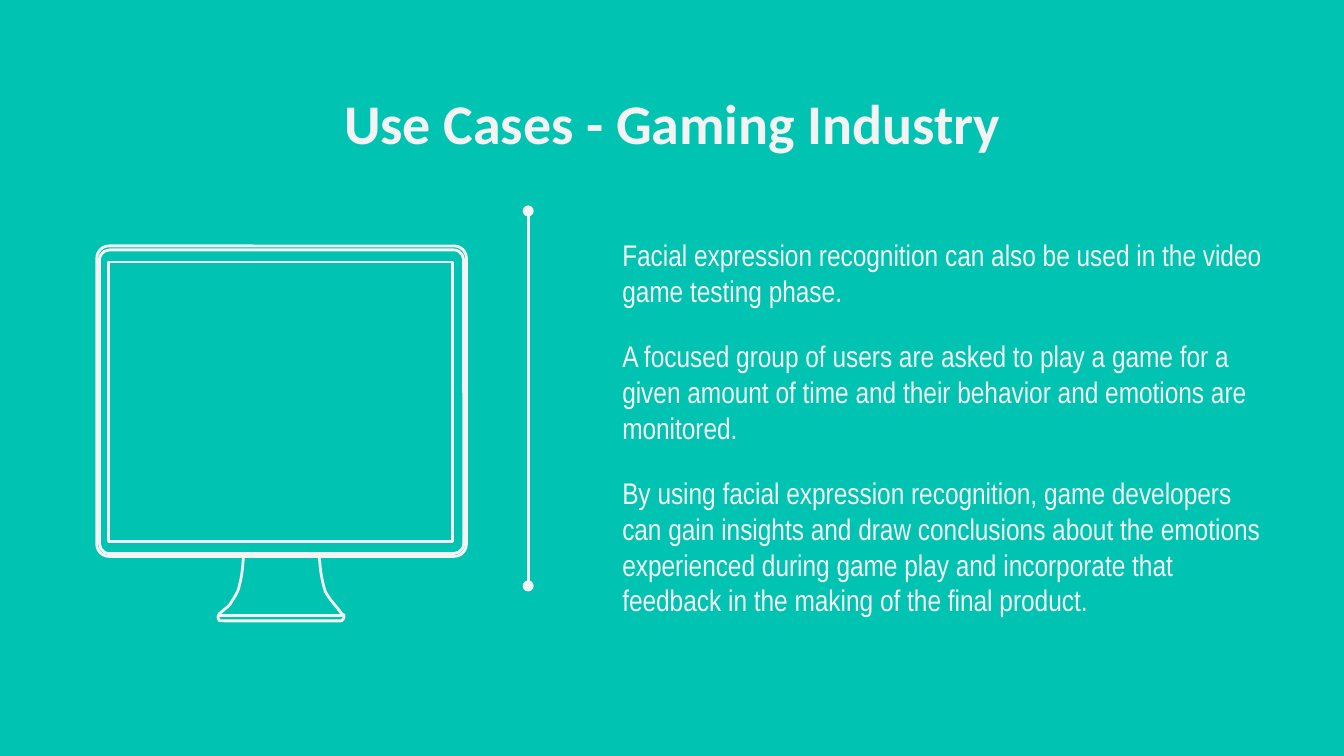
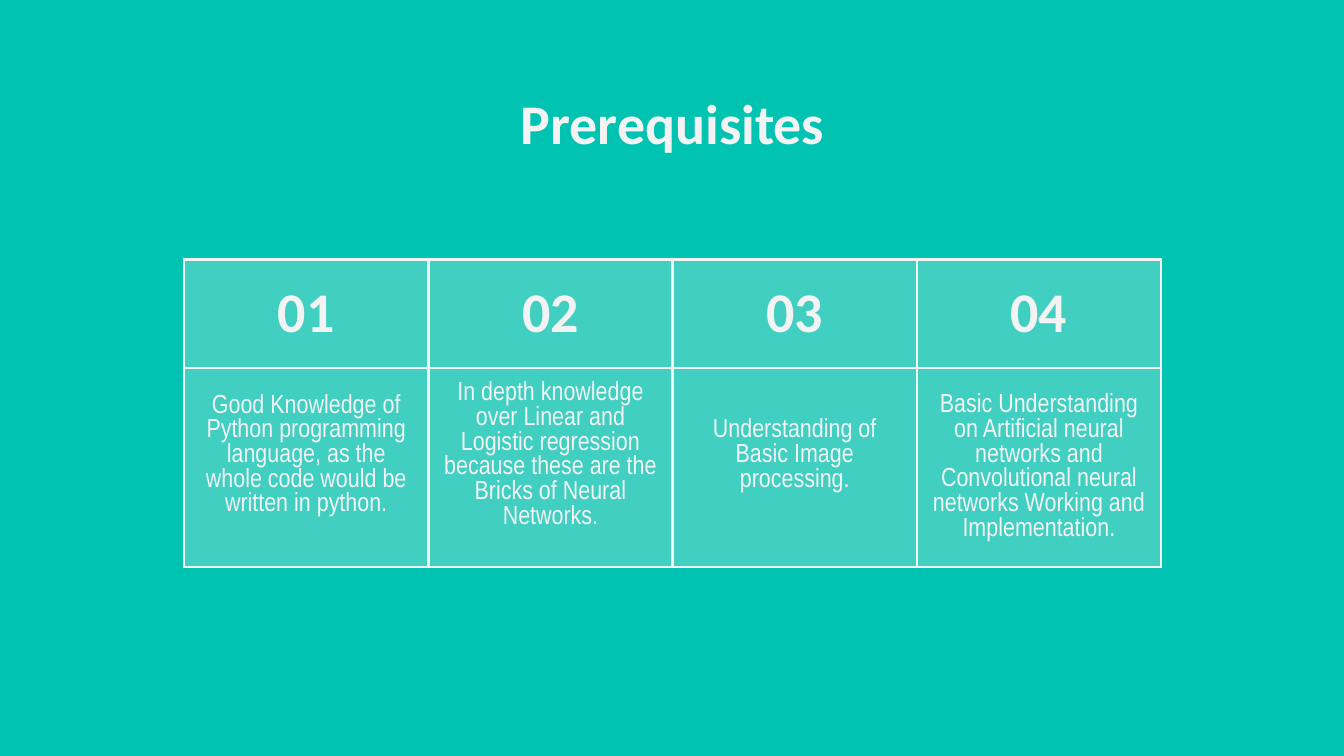
from dataclasses import dataclass

from lxml.etree import SubElement
from pptx import Presentation
from pptx.dml.color import RGBColor
from pptx.enum.shapes import MSO_CONNECTOR as Connector, MSO_SHAPE as Shape
from pptx.enum.text import MSO_ANCHOR as Anchor, MSO_AUTO_SIZE as AutoSize, PP_ALIGN as Align
from pptx.oxml import parse_xml
from pptx.oxml.ns import nsdecls, qn
from pptx.util import Pt

SCALE = 9144


@dataclass(frozen=True)
class Theme:
    teal: RGBColor = RGBColor.from_string("00C3B1")
    light: RGBColor = RGBColor.from_string("F3F3F3")
    heading_font: str = "Calibri"
    text_font: str = "Arial Narrow"
    heading_size: int = 30
    body_size: int = 16
    cell_size: int = 14
    body_leading: float = 19.1
    cell_leading: float = 13.2
    line_width: float = 1.5
    cell_alpha: int = 27000


theme = Theme()


def px(*values):
    return [round(value * SCALE) for value in values]


def format_text(frame, font, size, bold, align, leading=None, gap=0):
    frame.word_wrap = True
    for para in frame.paragraphs:
        para.alignment = align
        para.space_before = Pt(0)
        para.space_after = Pt(gap)
        if leading:
            para.line_spacing = Pt(leading)
        for span in para.runs:
            span.font.name = font
            span.font.size = Pt(size)
            span.font.bold = bold
            span.font.color.rgb = theme.light


deck = Presentation()
deck.slide_width, deck.slide_height = px(1000, 562.5)
background = deck.slide_master.background.fill
background.solid()
background.fore_color.rgb = theme.teal

pages = []
for title_text, layout in (("Use Cases - Gaming Industry", 1), ("Prerequisites", 5)):
    page = deck.slides.add_slide(deck.slide_layouts[layout])
    title = page.shapes.title
    title.left, title.top, title.width, title.height = px(79, 56, 843, 63)
    frame = title.text_frame
    frame.text = title_text
    frame.auto_size = AutoSize.NONE
    frame.vertical_anchor = Anchor.TOP
    frame.margin_left, frame.margin_top, frame.margin_right, frame.margin_bottom = px(10, 10, 10, 10)
    format_text(frame, theme.heading_font, theme.heading_size, True, Align.CENTER)
    pages.append(page)
gaming, prerequisites = pages

monitor = gaming.shapes.add_group_shape()
outlines = []
for kind, corner, bounds in (
    (Shape.RECTANGLE, None, (81, 195, 256, 208)),
    (Shape.ROUNDED_RECTANGLE, 0.039, (72, 183, 275, 231)),
    (Shape.ROUNDED_RECTANGLE, 0.033, (74, 186, 271, 226)),
):
    panel = monitor.shapes.add_shape(kind, *px(*bounds))
    if corner:
        panel.adjustments[0] = corner
    outlines.append(panel)

stand_start = (181, 415)
stand_curves = (
    ((181, 418), (180, 430), (178, 436)),
    ((177, 442), (173, 446), (171, 450)),
    ((168, 453), (165, 455), (163, 457)),
    ((162, 459), (162, 460), (163, 461)),
    ((163, 462), (163, 462), (167, 462)),
    ((190, 462), (220, 462), (241, 462)),
    ((248, 462), (251, 462), (254, 462)),
    ((256, 461), (256, 459), (256, 458)),
    ((256, 457), (255, 458), (253, 455)),
    ((251, 452), (245, 446), (242, 440)),
    ((240, 434), (238, 423), (238, 418)),
    ((237, 414), (238, 416), (238, 416)),
)
stand_points = []
start = stand_start
for first, second, end in stand_curves:
    for step in range(1, 9):
        t = step / 8
        u = 1 - t
        stand_points.append(px(*(
            u**3 * a + 3 * u * u * t * b + 3 * u * t * t * c + t**3 * d
            for a, b, c, d in zip(start, first, second, end)
        )))
    start = end
stand = monitor.shapes.build_freeform(*px(*stand_start), scale=1.0)
stand.add_line_segments(stand_points, close=False)
outlines.append(stand.convert_to_shape())

base = monitor.shapes.add_connector(Connector.STRAIGHT, *px(163, 458, 256, 458))
divider = gaming.shapes.add_connector(Connector.STRAIGHT, *px(393, 157, 393, 436))
for outline in outlines:
    outline.fill.background()
    outline.shadow.inherit = False
for drawn in (*outlines, base, divider):
    drawn.line.color.rgb = theme.light
    drawn.line.width = Pt(theme.line_width)
for connector in (base, divider):
    SubElement(connector.element.spPr, qn("a:effectLst"))
divider_line = divider.element.spPr.find(qn("a:ln"))
for line_end in ("a:headEnd", "a:tailEnd"):
    SubElement(divider_line, qn(line_end), type="oval")

body = gaming.placeholders[1]
body.left, body.top, body.width, body.height = px(453, 157, 505, 349)
frame = body.text_frame
frame.text = "\n".join((
    "Facial expression recognition can also be used in the video game testing phase.",
    "A focused group of users are asked to play a game for a given amount of time and their behavior and emotions are monitored.",
    "By using facial expression recognition, game developers can gain insights and draw conclusions about the emotions experienced during game play and incorporate that feedback in the making of the final product.",
))
frame.auto_size = AutoSize.NONE
frame.vertical_anchor = Anchor.MIDDLE
frame.margin_left, frame.margin_top, frame.margin_right, frame.margin_bottom = px(10, 18, 10, 45)
for para in frame.paragraphs:
    properties = para._p.get_or_add_pPr()
    properties.set("marL", "0")
    properties.set("indent", "0")
    SubElement(properties, qn("a:buNone"))
format_text(frame, theme.text_font, theme.body_size, False, Align.LEFT, theme.body_leading, gap=16)

requirements = (
    ("01", "Good Knowledge of Python programming language, as the whole code would be written in python.", 28),
    ("02", "In depth knowledge over Linear and Logistic regression because these are the Bricks of Neural Networks.", 28),
    ("03", "Understanding of Basic Image processing.", 28),
    ("04", "Basic Understanding on Artificial neural networks and Convolutional neural networks Working and Implementation.", 10),
)
table = prerequisites.shapes.add_table(2, 4, *px(137, 193, 727, 229)).table
table.first_row = False
table.horz_banding = False
table.rows[0].height, table.rows[1].height = px(81, 148)
for index, (number, requirement, bottom) in enumerate(requirements):
    table.columns[index].width = px(727 / 4)[0]
    head, detail = table.cell(0, index), table.cell(1, index)
    head.text_frame.text = number
    detail.text_frame.text = requirement
    format_text(head.text_frame, theme.heading_font, theme.heading_size, True, Align.CENTER)
    format_text(detail.text_frame, theme.text_font, theme.cell_size, False, Align.CENTER, theme.cell_leading)
    for cell, margin in ((head, 10), (detail, bottom)):
        cell.vertical_anchor = Anchor.MIDDLE
        cell.margin_left, cell.margin_top, cell.margin_right, cell.margin_bottom = px(10, 10, 10, margin)
        cell.fill.solid()
        cell.fill.fore_color.rgb = theme.light
        properties = cell._tc.get_or_add_tcPr()
        color = properties.find(qn("a:solidFill")).find(qn("a:srgbClr"))
        SubElement(color, qn("a:alpha"), val=str(theme.cell_alpha))
        for position, side in enumerate("LRTB"):
            properties.insert(position, parse_xml(
                f'<a:ln{side} {nsdecls("a")} w="{Pt(theme.line_width)}"><a:solidFill>'
                f'<a:srgbClr val="{theme.light}"/></a:solidFill></a:ln{side}>'
            ))

deck.save("out.pptx")
